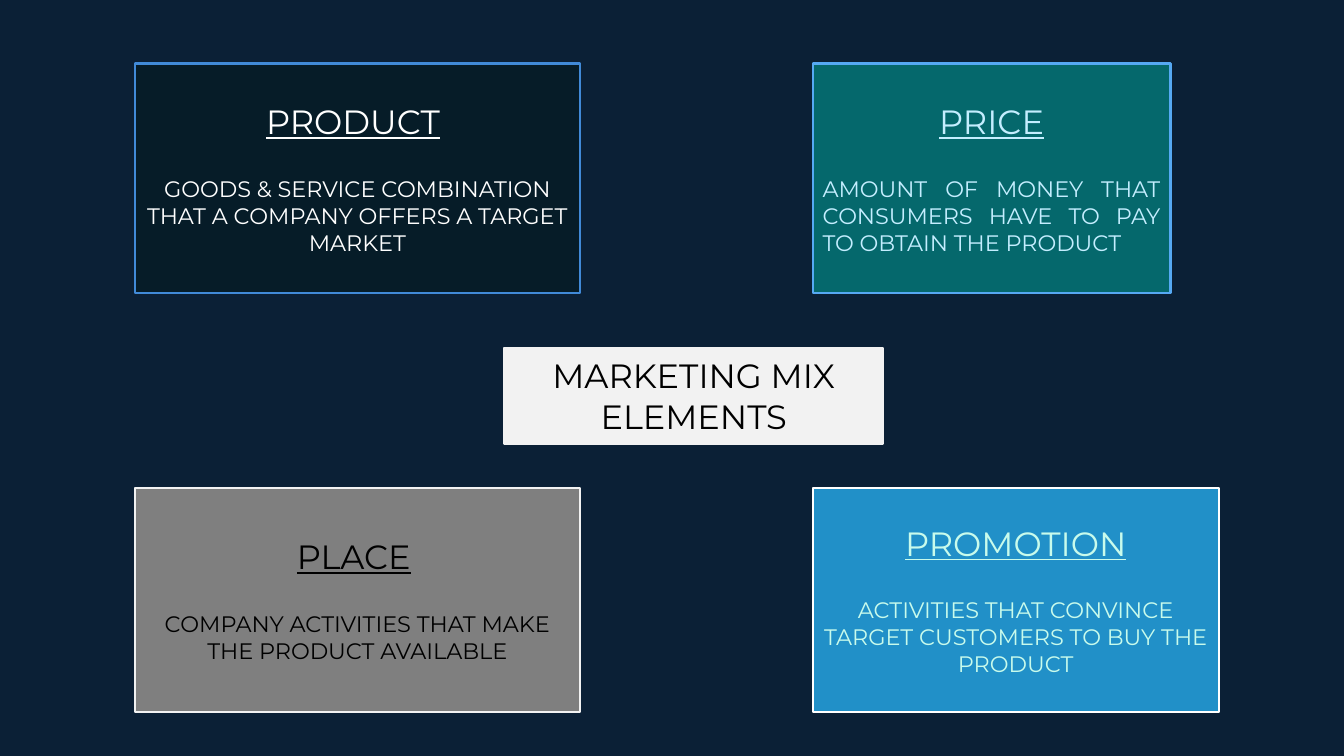
"""Build the marketing mix slide: a central title and four element cards."""
from pptx import Presentation
from pptx.dml.color import RGBColor
from pptx.enum.shapes import MSO_SHAPE
from pptx.enum.text import MSO_ANCHOR, MSO_AUTO_SIZE, PP_ALIGN
from pptx.util import Inches, Pt

RECTANGLE = MSO_SHAPE.RECTANGLE
MIDDLE = MSO_ANCHOR.MIDDLE
NO_AUTOFIT = MSO_AUTO_SIZE.NONE
CENTER, JUSTIFY = PP_ALIGN.CENTER, PP_ALIGN.JUSTIFY

COLORS = {
    "background": "0B2036", "black": "000000", "white": "FFFFFF", "light": "F2F2F2",
    "product": "061C28", "product edge": "418AD8",
    "price": "05686C", "price edge": "56A9F3", "price text": "C4EEFF",
    "place": "7F7F7F",
    "promotion": "2190C8", "promotion text": "C8FBEC",
}
COLUMNS = (1.34, 8.06)
ROWS = ((0.63, 2.28), (4.84, 2.22))

CARDS = [
    (0, 0, 4.41, "product", "product edge", "white", "PRODUCT", 24, CENTER,
     "GOODS & SERVICE COMBINATION THAT A COMPANY OFFERS A TARGET MARKET"),
    (1, 0, 3.55, "price", "price edge", "price text", "PRICE", None, JUSTIFY,
     "AMOUNT OF MONEY THAT CONSUMERS HAVE TO PAY TO OBTAIN THE PRODUCT"),
    (0, 1, 4.41, "place", "light", "black", "PLACE", 20, CENTER,
     "COMPANY ACTIVITIES THAT MAKE THE PRODUCT AVAILABLE"),
    (1, 1, 4.03, "promotion", "white", "promotion text", "PROMOTION", None, CENTER,
     "ACTIVITIES THAT CONVINCE TARGET CUSTOMERS TO BUY THE PRODUCT"),
]


def style_box(box, fill, edge):
    """Paint a box and return its prepared text frame."""
    box.fill.solid()
    box.fill.fore_color.rgb = RGBColor.from_string(COLORS[fill])
    box.line.color.rgb = RGBColor.from_string(COLORS[edge])
    box.line.width = Pt(1.5)
    frame = box.text_frame
    frame.word_wrap = True
    frame.auto_size = NO_AUTOFIT
    frame.vertical_anchor = MIDDLE
    return frame


def add_text(paragraph, text, size, color, align=CENTER, underline=False):
    """Append one formatted run to a paragraph."""
    paragraph.alignment = align
    run = paragraph.add_run()
    run.text = text
    run.font.name = "Montserrat"
    run.font.size = Pt(size)
    run.font.underline = underline
    run.font.color.rgb = RGBColor.from_string(COLORS[color])


prs = Presentation()
prs.slide_width, prs.slide_height = Inches(13.33), Inches(7.5)
slide = prs.slides.add_slide(prs.slide_layouts[5])
slide.background.fill.solid()
slide.background.fill.fore_color.rgb = RGBColor.from_string(COLORS["background"])

title = slide.shapes.title
title.left, title.top = Inches(5), Inches(3.45)
title.width, title.height = Inches(3.76), Inches(0.95)
title_frame = style_box(title, "light", "light")
add_text(title_frame.paragraphs[0], "MARKETING MIX", 24, "black")
add_text(title_frame.add_paragraph(), "ELEMENTS", 24, "black")

for column, row, width, fill, edge, ink, element, space_size, align, definition in CARDS:
    top, height = ROWS[row]
    card = slide.shapes.add_shape(
        RECTANGLE, Inches(COLUMNS[column]), Inches(top), Inches(width), Inches(height))
    card.shadow.inherit = False
    card_frame = style_box(card, fill, edge)
    heading = card_frame.paragraphs[0]
    add_text(heading, element, 24, ink, underline=True)
    if space_size:
        add_text(heading, " ", space_size, ink)
    meaning = card_frame.add_paragraph()
    meaning.space_before = Pt(24)
    add_text(meaning, definition, 16, ink, align)

prs.save("out.pptx")
